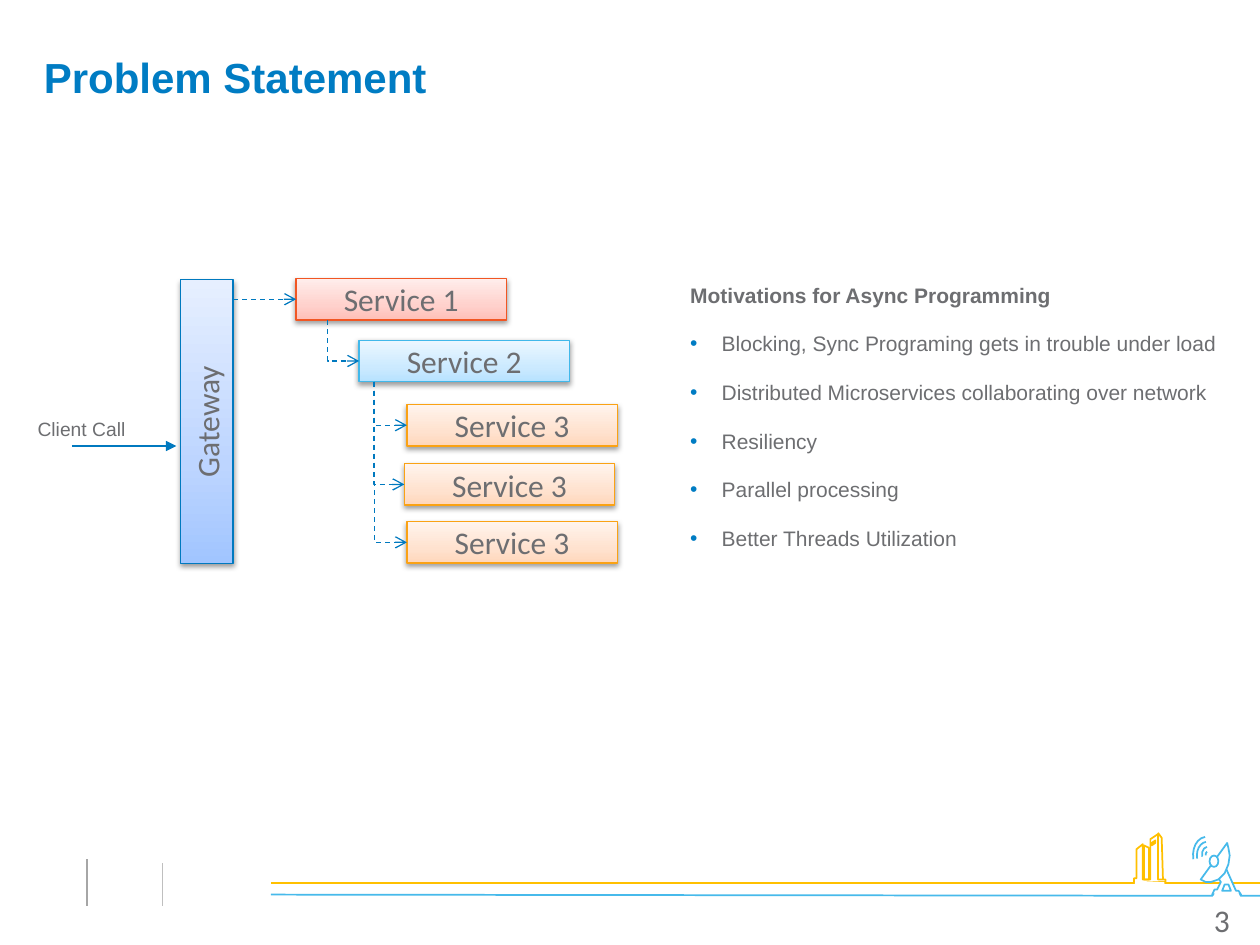
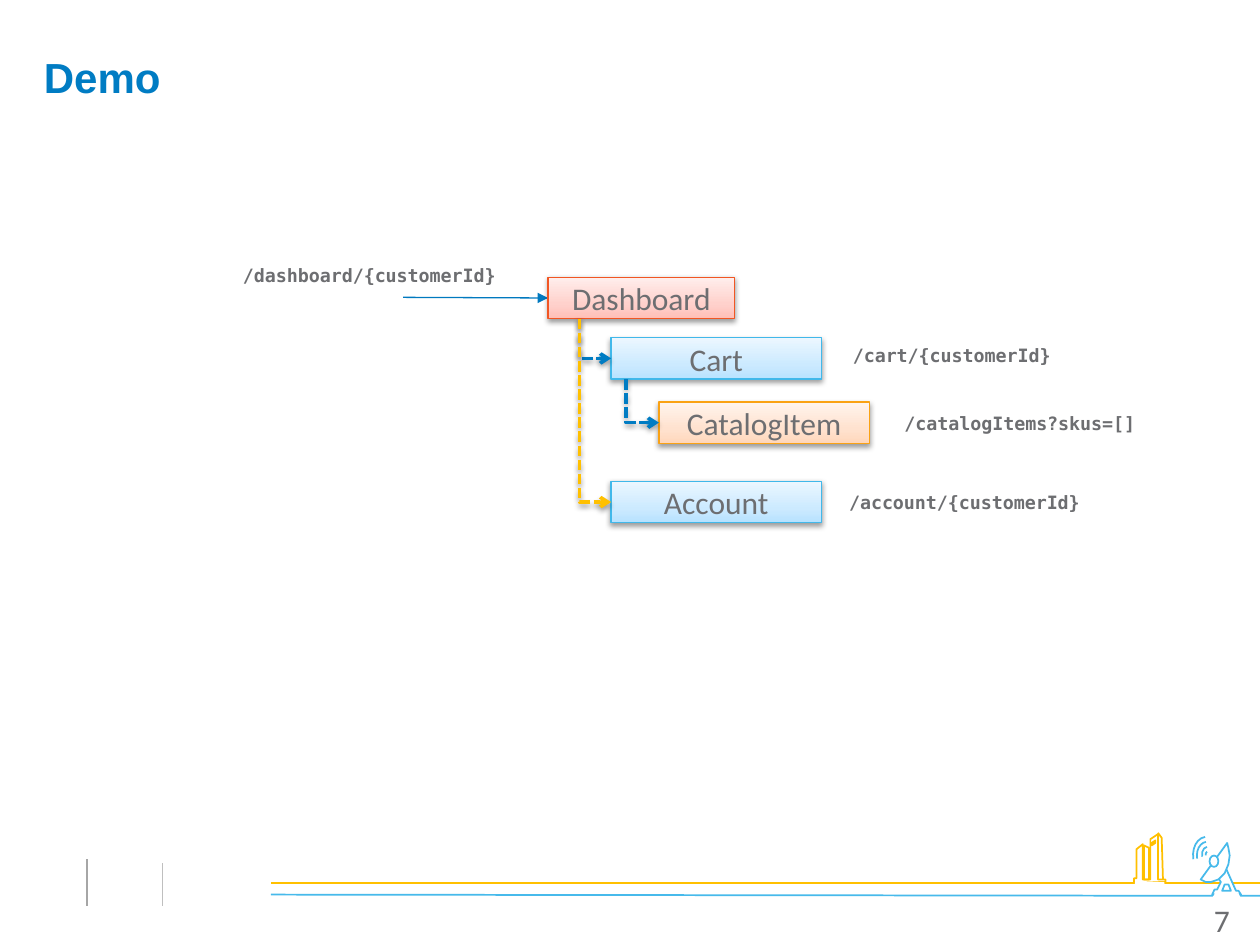
import copy

from pptx import Presentation
from pptx import util as u
from pptx.dml.color import RGBColor
from pptx.enum import dml, shapes, text
from pptx.oxml.ns import qn
from pptx.oxml.xmlchemy import OxmlElement

COLORS = {
    "title": "007CC3", "text": "6D6E71", "blue": "0079BF", "sky": "47BAEB",
    "gold": "FFC000", "white": "FFFFFF", "gray": "A6A6A6", "light_gray": "BFBFBF",
    "shadow": "000000",
}
# Each box style: outline, then gradient stops from bottom to top
BOX_STYLES = {
    "gateway": ("0079BF", ("A1C5FF", "BDD5FF", "E6EFFF")),
    "red": ("F15623", ("FFBFB7", "FFD1CC", "FFEEEC")),
    "blue": ("41B8EA", ("B7E2FF", "CCEAFF", "ECF7FF")),
    "orange": ("FAA214", ("FFD7BB", "FFE2CF", "FFF4ED")),
}
STOP_POSITIONS = (0, 0.35, 1)
BOX_WIDTH, BOX_HEIGHT = 1.67, 0.33
MONO = "DejaVu Sans Mono"
DASH = dml.MSO_LINE.DASH
SQUARE_DOT = dml.MSO_LINE.SQUARE_DOT


def rgb(name):
    return RGBColor.from_string(COLORS.get(name, name))


def add_element(parent, tag, **attributes):
    element = OxmlElement(tag)
    for name, value in attributes.items():
        element.set(name, str(value))
    parent.append(element)
    return element


def add_shadow(properties):
    """Fill the effect list of shape properties with a soft drop shadow."""
    effects = properties.find(qn("a:effectLst"))
    shadow = add_element(effects, "a:outerShdw", blurRad=u.Pt(3.1), dist=u.Pt(1.6),
                         dir=5400000, rotWithShape=0)
    color = add_element(shadow, "a:srgbClr", val=COLORS["shadow"])
    add_element(color, "a:alpha", val=38000)


def add_run(paragraph, words, size, font="Arial", color="text", bold=False):
    run = paragraph.add_run()
    run.text = words
    run.font.size = u.Pt(size)
    run.font.name = font
    run.font.bold = bold
    run.font.color.rgb = rgb(color)


def add_text(slide, left, top, width, height):
    """Add an empty wrapping text box and return its frame."""
    box = slide.shapes.add_textbox(*map(u.Inches, (left, top, width, height)))
    box.text_frame.word_wrap = True
    return box.text_frame


def add_label(slide, left, top, width, words, size, **style):
    frame = add_text(slide, left, top, width, 0.29)
    add_run(frame.paragraphs[0], words, size, **style)


def add_box(slide, left, top, words, style, width=BOX_WIDTH, height=BOX_HEIGHT):
    """Add a shadowed gradient rectangle with centred words."""
    outline, stop_colors = BOX_STYLES[style]
    box = slide.shapes.add_shape(shapes.MSO_SHAPE.RECTANGLE,
                                 *map(u.Inches, (left, top, width, height)))
    box.fill.gradient()
    box.fill.gradient_angle = 90
    stops = box._element.spPr.find(".//" + qn("a:gsLst"))
    stops.append(copy.deepcopy(stops[0]))
    for stop, position, color in zip(box.fill.gradient_stops, STOP_POSITIONS, stop_colors):
        stop.position = position
        stop.color.rgb = rgb(color)
    box.line.color.rgb = rgb(outline)
    box.line.width = u.Pt(0.75)
    box.shadow.inherit = False
    add_shadow(box._element.spPr)
    frame = box.text_frame
    frame.vertical_anchor = text.MSO_ANCHOR.MIDDLE
    frame.paragraphs[0].alignment = text.PP_ALIGN.CENTER
    add_run(frame.paragraphs[0], words, 18, "Calibri")
    return box


def style_line(connector, color, width, dash=None, head=None):
    connector.line.color.rgb = rgb(color)
    connector.line.width = u.Pt(width)
    if dash:
        connector.line.dash_style = dash
    if head:
        add_element(connector.line._get_or_add_ln(), "a:tailEnd", type=head)
    add_element(connector._element.spPr, "a:effectLst")


def add_line(slide, start, end, color="blue", width=0.75, dash=None, head=None):
    connector = slide.shapes.add_connector(shapes.MSO_CONNECTOR.STRAIGHT,
                                           *map(u.Inches, (*start, *end)))
    style_line(connector, color, width, dash, head)
    return connector


def add_branch(slide, parent, child, inset, color="blue", width=0.75, dash=DASH, shadow=False):
    """Run an arrow down from the parent's bottom edge, then right into the child."""
    start_x, start_y = parent.left + u.Inches(inset), parent.top + parent.height
    end_x, end_y = child.left, child.top + child.height // 2
    middle_x, middle_y = (start_x + end_x) // 2, (start_y + end_y) // 2
    half_run, half_drop = (end_x - start_x) // 2, (end_y - start_y) // 2
    # The one-bend elbow starts sideways, so it is laid out turned by 270 degrees
    connector = slide.shapes.add_connector(
        shapes.MSO_CONNECTOR.ELBOW, middle_x - half_drop, middle_y - half_run,
        middle_x + half_drop, middle_y + half_run)
    properties = connector._element.spPr
    properties.find(qn("a:prstGeom")).set("prst", "bentConnector2")
    frame = properties.find(qn("a:xfrm"))
    frame.set("rot", "16200000")
    frame.set("flipH", "1")
    style_line(connector, color, width, dash, "arrow")
    if shadow:
        add_shadow(properties)


def style_icon_part(shape, line, fill):
    shape.shadow.inherit = False
    if fill:
        shape.fill.solid()
        shape.fill.fore_color.rgb = rgb(fill)
    else:
        shape.fill.background()
    if line:
        shape.line.color.rgb = rgb(line)
        shape.line.width = u.Pt(1)
    else:
        shape.line.fill.background()


def add_outline(slide, left, top, contours, line=None, fill=None, close=True):
    """Draw contours whose points are inches from left and top."""
    placed = [[(u.Inches(left + x), u.Inches(top + y)) for x, y in points]
              for points in contours]
    builder = slide.shapes.build_freeform(*placed[0][0], scale=1.0)
    for index, points in enumerate(placed):
        if index:
            builder.move_to(*points[0])
        builder.add_line_segments(points[1:], close=close)
    style_icon_part(builder.convert_to_shape(), line, fill)


def add_preset(slide, kind, left, top, width, height, fill=None, rotation=0):
    shape = slide.shapes.add_shape(kind, *map(u.Inches, (left, top, width, height)))
    shape.rotation = rotation
    style_icon_part(shape, "sky", fill)


def add_antenna(slide, left, top):
    stand = [(0.4, 0.39), (0.38, 0.39), (0.3, 0.21), (0.24, 0.29), (0.26, 0.32),
             (0.23, 0.38), (0.21, 0.38), (0.19, 0.42), (0.42, 0.42)]
    opening = [(0.27, 0.39), (0.29, 0.34), (0.32, 0.34), (0.34, 0.39)]
    dish = [(0.31, 0.01), (0.1, 0.3), (0.14, 0.32), (0.18, 0.32), (0.24, 0.3),
            (0.29, 0.25), (0.32, 0.18), (0.33, 0.11), (0.32, 0.05)]
    ground = [(0.22, 0.4), (0.4, 0.41), (0.43, 0.47), (0.17, 0.48)]
    waves = [(0.09, 0.06, 0.14, 0.1), (0, 0, 0.32, 0.24),
             (0.04, 0.03, 0.24, 0.18), (0.13, 0.09, 0.05, 0.03)]
    add_outline(slide, left, top, [stand, opening], "sky", "white")
    add_outline(slide, left, top, [dish], "sky", "white")
    add_preset(slide, shapes.MSO_SHAPE.OVAL, left + 0.17, top + 0.11, 0.07, 0.09, "white")
    for x, y, width, height in waves:
        add_preset(slide, shapes.MSO_SHAPE.ARC, left + x, top + y, width, height,
                   rotation=260.8)
    add_outline(slide, left, top, [ground], fill="white")


def add_towers(slide, left, top):
    skyline = [(0.02, 0.13), (0.07, 0.09), (0.07, 0.37), (0.13, 0.37), (0.13, 0.05),
               (0.19, 0.01), (0.19, 0.37), (0.25, 0.37), (0.25, 0.39), (0, 0.39),
               (0, 0.36), (0.02, 0.36)]
    side = [(0.08, 0.1), (0.12, 0.12), (0.12, 0.37), (0.08, 0.37)]
    window = [(0.14, 0.08), (0.14, 0.1), (0.17, 0.08), (0.17, 0.06)]
    edge = [(0.19, 0), (0.22, 0.04), (0.23, 0.37)]
    ground = [(0.01, 0.38), (0.24, 0.39), (0.25, 0.46), (0, 0.46)]
    for part in (skyline, side, window):
        add_outline(slide, left, top, [part], "gold")
    add_outline(slide, left, top, [edge], "gold", close=False)
    add_outline(slide, left, top, [ground], fill="white")


def add_footer(slide, number, left=0.69, top=6.61):
    add_line(slide, (left, top + 0.21), (left, top + 0.58), "gray")
    add_line(slide, (10, top + 0.4), (left + 1.46, top + 0.4), "gold", 1)
    add_line(slide, (10, top + 0.5), (left + 1.46, top + 0.49), "sky", 1)
    add_antenna(slide, left + 8.74, top + 0.07)
    add_towers(slide, left + 8.31, top)
    add_line(slide, (left + 0.6, top + 0.24), (left + 0.6, top + 0.58), "light_gray", 1)
    paragraph = add_text(slide, left + 6.84, top + 0.49, 2.33, 0.4).paragraphs[0]
    paragraph.alignment = text.PP_ALIGN.RIGHT
    add_run(paragraph, str(number), 18, "Calibri")


def add_base_slide(presentation, title, number):
    slide = presentation.slides.add_slide(presentation.slide_layouts[6])
    add_footer(slide, number)
    frame = add_text(slide, 0.25, 0.25, 9.5, 0.77)
    frame.vertical_anchor = text.MSO_ANCHOR.MIDDLE
    frame.paragraphs[0].line_spacing = 0.9
    add_run(frame.paragraphs[0], title, 24, color="title", bold=True)
    return slide


def add_service_diagram(slide, left, top):
    gateway = add_box(slide, left + 1.23, top + 0.01, "Gateway", "gateway", 0.42, 2.25)
    gateway.text_frame._txBody.bodyPr.set("vert", "vert270")
    add_line(slide, (left + 0.37, top + 1.33), (left + 1.2, top + 1.33), head="triangle")
    add_label(slide, left, top + 1.05, 1.1, "Client Call", 11)
    first = add_box(slide, left + 2.15, top, "Service 1", "red")
    second = add_box(slide, left + 2.65, top + 0.49, "Service 2", "blue")
    third_level = [add_box(slide, left + x, top + y, "Service 3", "orange")
                   for x, y in ((3.03, 1), (3.01, 1.47), (3.03, 1.93))]
    middle = top + BOX_HEIGHT / 2
    call = add_line(slide, (left + 1.65, middle), (left + 2.15, middle), dash=DASH, head="arrow")
    call.end_connect(first, 1)
    add_branch(slide, first, second, 0.25)
    for service in third_level:
        add_branch(slide, second, service, 0.12)


def add_motivations(slide, left, top, heading, points):
    frame = add_text(slide, left, top, 4.46, 2.46)
    for index, words in enumerate([heading, *points]):
        paragraph = frame.add_paragraph() if index else frame.paragraphs[0]
        paragraph.line_spacing = 1.1
        paragraph.space_before = paragraph.space_after = u.Pt(6)
        if index:
            properties = paragraph._p.get_or_add_pPr()
            properties.set("marL", str(u.Inches(0.25)))
            properties.set("indent", str(u.Inches(-0.25)))
            add_element(add_element(properties, "a:buClr"), "a:srgbClr", val=COLORS["title"])
            add_element(properties, "a:buFont", typeface="Arial")
            add_element(properties, "a:buChar", char="•")
        add_run(paragraph, words, 12, bold=index == 0)


def add_endpoint_diagram(slide, left, top):
    request = add_line(slide, (left + 1.37, top + 0.16), (left + 2.52, top + 0.16),
                       head="triangle")
    dashboard = add_box(slide, left + 2.52, top, "Dashboard", "red", 1.48)
    request.end_connect(dashboard, 1)
    cart = add_box(slide, left + 3.02, top + 0.48, "Cart", "blue")
    catalog = add_box(slide, left + 3.4, top + 0.99, "CatalogItem", "orange")
    heavy = {"width": 2, "dash": SQUARE_DOT, "shadow": True}
    add_branch(slide, dashboard, cart, 0.25, "title", **heavy)
    add_branch(slide, cart, catalog, 0.12, "title", **heavy)
    account = add_box(slide, left + 3.02, top + 1.62, "Account", "blue")
    add_branch(slide, dashboard, account, 0.25, "gold", **heavy)
    endpoints = [(0, -0.15, 2.35, "/dashboard/{customerId}"),
                 (4.84, 0.48, 2.35, "/cart/{customerId}"),
                 (5.25, 1.02, 2.75, "/catalogItems?skus=[]"),
                 (4.81, 1.65, 2.75, "/account/{customerId}")]
    for x, y, width, address in endpoints:
        add_label(slide, left + x, top + y, width, address, 10.5, font=MONO, bold=True)


def main():
    presentation = Presentation()
    presentation.slide_width, presentation.slide_height = u.Inches(10), u.Inches(7.5)

    problem = add_base_slide(presentation, "Problem Statement", 3)
    add_service_diagram(problem, 0.2, 2.21)
    add_motivations(problem, 5.38, 2.17, "Motivations for Async Programming", [
        "Blocking, Sync Programing gets in trouble under load",
        "Distributed Microservices collaborating over network",
        "Resiliency",
        "Parallel processing",
        "Better Threads Utilization",
    ])

    demo = add_base_slide(presentation, "Demo", 7)
    add_endpoint_diagram(demo, 1.83, 2.2)
    presentation.save("out.pptx")


if __name__ == "__main__":
    main()
